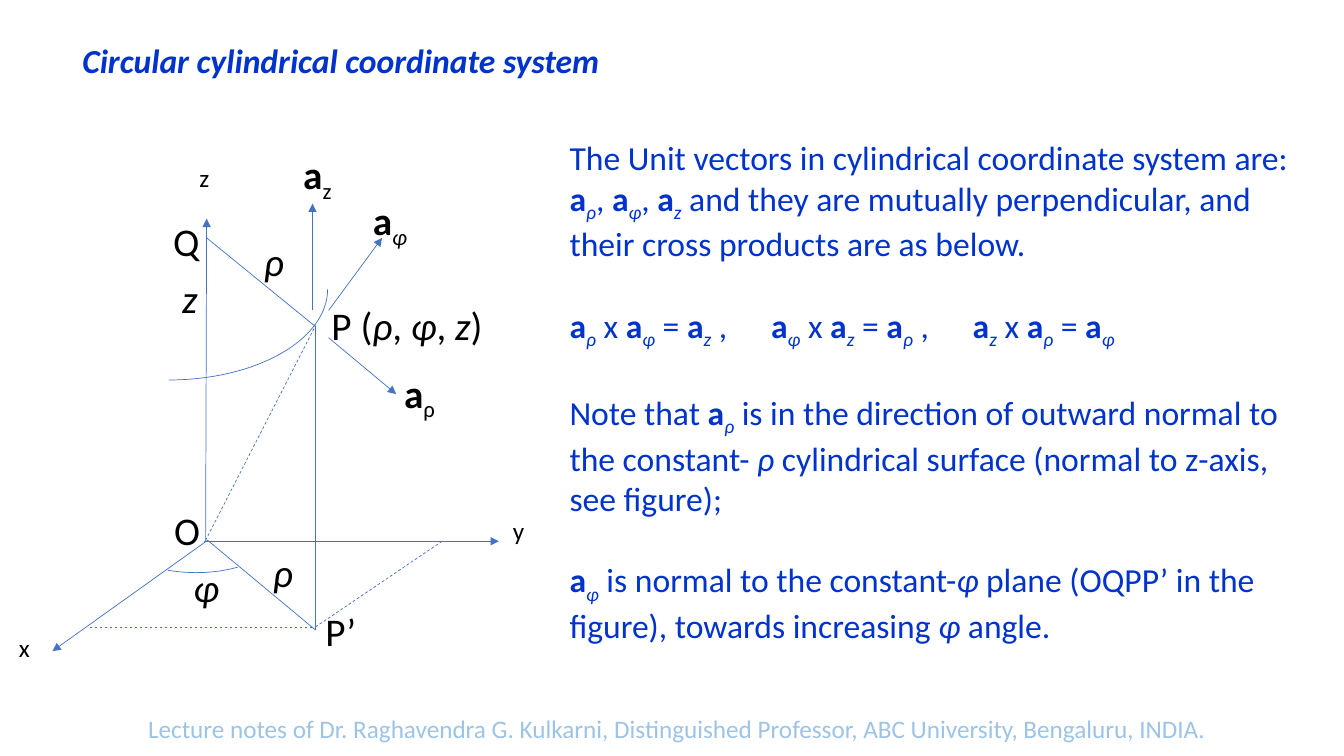
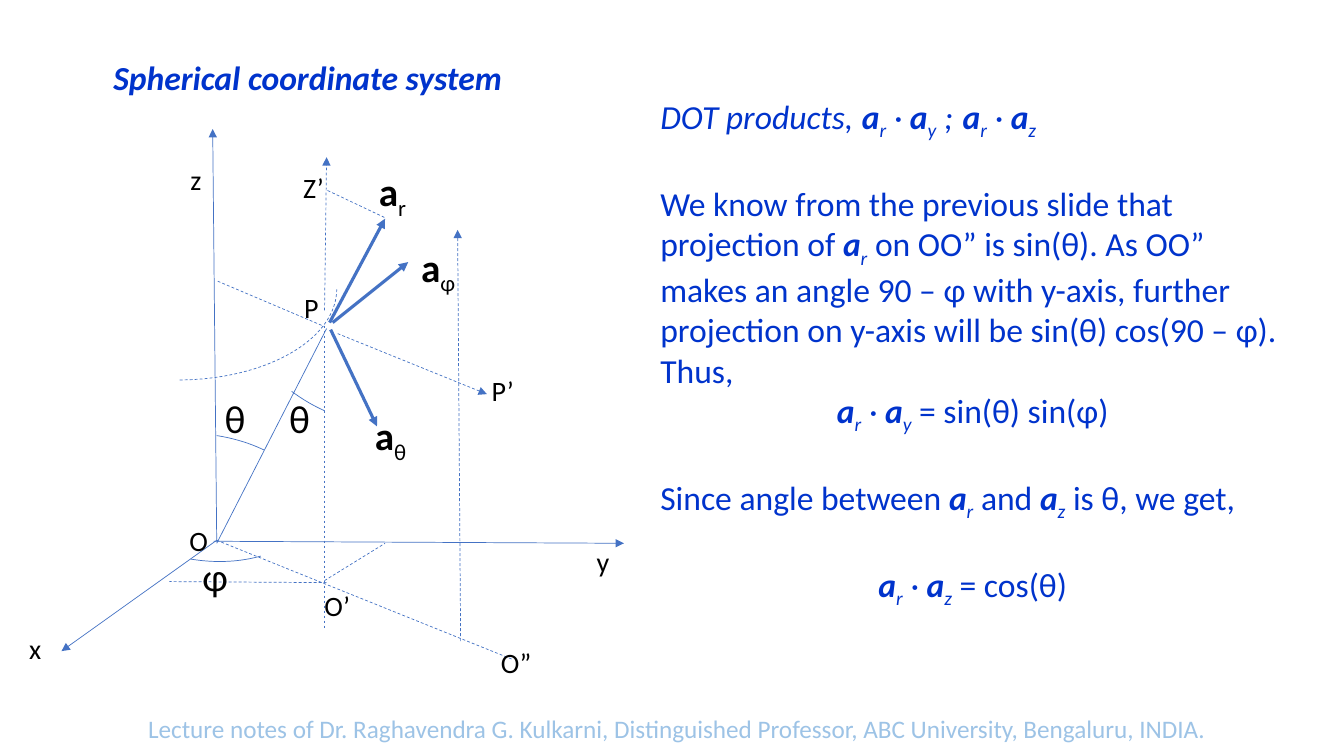
from lxml import etree
from pptx import Presentation
from pptx.dml.color import RGBColor
from pptx.enum.dml import MSO_LINE
from pptx.enum.shapes import MSO_CONNECTOR, MSO_SHAPE
from pptx.enum.text import MSO_AUTO_SIZE, PP_ALIGN
from pptx.oxml.ns import qn
from pptx.util import Inches, Pt

STRAIGHT, ARC = MSO_CONNECTOR.STRAIGHT, MSO_SHAPE.ARC
DASH = MSO_LINE.DASH
NO_FIT = MSO_AUTO_SIZE.NONE
LEFT, CENTER = PP_ALIGN.LEFT, PP_ALIGN.CENTER

BLUE = RGBColor(0x00, 0x33, 0xCC)
BLACK = RGBColor(0x00, 0x00, 0x00)
STROKE = RGBColor(0x44, 0x72, 0xC4)
PALE = RGBColor(0x9D, 0xC3, 0xE6)

FONT = "Calibri"
CELL = 0.1  # side of a grid cell in inches: 133.3 columns by 75 rows
THIN, THICK = 0.5, 2.25
GAP = 29.3  # one line of body text, in points
MARKS = "*/_"  # bold, italic, subscript
FOOTER = ("Lecture notes of Dr. Raghavendra G. Kulkarni, Distinguished Professor, "
          "ABC University, Bengaluru, INDIA.")


def cells(*counts):
    return [Inches(count * CELL) for count in counts]


class Lecture:
    """Holds the style and the current slide; all lengths are grid cells."""

    def __init__(self):
        self.deck = Presentation()
        self.deck.slide_width, self.deck.slide_height = cells(133.33, 75)
        self.slide = None

    def new_slide(self, title, title_box, paragraphs, body_box):
        self.slide = self.deck.slides.add_slide(self.deck.slide_layouts[1])
        heading = self.frame(self.slide.shapes.title, title_box).paragraphs[0]
        self.fill_text(heading, title, 24, BLUE, CENTER)
        heading.font.bold = heading.font.italic = True

        body = self.frame(self.slide.placeholders[1], body_box)
        for number, (text, options) in enumerate(paragraphs):
            paragraph = body.add_paragraph() if number else body.paragraphs[0]
            self.plain_list(paragraph, options.get("gap", 0), options.get("tabs", ()))
            self.fill_text(paragraph, text, 24, BLUE, options.get("align", LEFT))
        self.label(FOOTER, 13.7, 70.3, 18, PALE, 109.2)

    def frame(self, shape, box):
        shape.left, shape.top, shape.width, shape.height = cells(*box)
        shape.text_frame.word_wrap = True
        shape.text_frame.auto_size = NO_FIT
        return shape.text_frame

    def plain_list(self, paragraph, gap, tabs):
        paragraph.space_before = Pt(gap)
        properties = paragraph._p.get_or_add_pPr()
        properties.set("marL", "0")
        properties.set("indent", "0")
        etree.SubElement(properties, qn("a:buNone"))
        if tabs:
            stops = etree.SubElement(properties, qn("a:tabLst"))
            for position in cells(*tabs):
                etree.SubElement(stops, qn("a:tab"), pos=str(position), algn="l")

    def fill_text(self, paragraph, text, size, color, align=LEFT):
        """Split text at bars; each piece may start with marks."""
        paragraph.alignment = align
        font = paragraph.font
        font.name, font.size, font.color.rgb = FONT, Pt(size), color
        for piece in filter(None, text.split("|")):
            words = piece.lstrip(MARKS)
            marks = piece[:len(piece) - len(words)]
            run = paragraph.add_run()
            run.text = words
            if "*" in marks:
                run.font.bold = True
            if "/" in marks:
                run.font.italic = True
            if "_" in marks:
                run.font._element.set("baseline", "-25000")

    def label(self, text, left, top, size=28, color=BLACK, width=8):
        box = (left, top, width, size / 5)
        label = self.slide.shapes.add_textbox(*cells(*box))
        self.fill_text(self.frame(label, box).paragraphs[0], text, size, color)

    def labels(self, entries, size=28):
        for text, left, top in entries:
            self.label(text, left, top, size)

    def stroke(self, line, width, dashed):
        line.color.rgb = STROKE
        line.width = Pt(width)
        if dashed:
            line.dash_style = DASH

    def lines(self, ends, width=THIN, dashed=False, arrow=False):
        for points in ends:
            connector = self.slide.shapes.add_connector(STRAIGHT, *cells(*points))
            self.stroke(connector.line, width, dashed)
            properties = connector._element.spPr
            if arrow:
                etree.SubElement(properties.find(qn("a:ln")), qn("a:tailEnd"),
                                 type="triangle")
            etree.SubElement(properties, qn("a:effectLst"))

    def arc(self, box, start, end, turn=0, dashed=False):
        """Angles are degrees, clockwise from the right."""
        arc = self.slide.shapes.add_shape(ARC, *cells(*box))
        arc.shadow.inherit = False
        arc.fill.background()
        arc.adjustments[0], arc.adjustments[1] = start * 0.6, end * 0.6
        arc.rotation = turn
        self.stroke(arc.line, THIN, dashed)


def unit(name):
    return f"|*a|_/{name}|"


def slanted(name):
    return f"|*/a|_/{name}|"


def dot(name):
    return f"{slanted('r')}/ · {slanted(name)}"


def cylindrical(lecture):
    rho, phi, z = unit("ρ"), unit("φ"), unit("z")
    lecture.new_slide(
        "Circular cylindrical coordinate system ", (0.9, 3.5, 66.6, 5),
        [(f"The Unit vectors in cylindrical coordinate system are: {rho}, {phi}, {z} "
          "and they are mutually perpendicular, and their cross products are as below.", {}),
         (f"{rho} x {phi} = {z} ,\t{phi} x {z} = {rho} ,\t{z} x {rho} = {phi}",
          {"gap": GAP, "tabs": (19.2, 37.4)}),
         (f"Note that {rho} is in the direction of outward normal to the constant-|/ ρ |"
          "cylindrical surface (normal to z-axis, see figure);", {"gap": GAP}),
         (f"{phi} is normal to the constant-|/φ |plane (OQPP’ in the figure), "
          "towards increasing |/φ |angle.", {"gap": GAP})],
        (55.5, 13.1, 75.1, 49.5))

    # Axes y, z, x and the unit vectors z, ρ, φ at P
    lecture.lines([(20.2, 53.7, 49.5, 53.7), (20.4, 53.7, 20.5, 21.7),
                   (20.6, 53.6, 5.2, 64.6), (31, 30.8, 31, 20.2),
                   (32.6, 33.5, 39.3, 39.1), (32.6, 30.8, 37.9, 23.6)], arrow=True)
    # Plane OQPP’
    lecture.lines([(31.3, 32.3, 31.3, 62.5), (20.6, 53.6, 31.3, 62.5),
                   (20.5, 23.6, 31.3, 32.4)])
    # OP and the projections of P’
    lecture.lines([(20.4, 53.6, 31.3, 32.3), (31, 62.2, 8.9, 62.2),
                   (31.3, 62.2, 44, 53.6)], dashed=True)
    # Cylinder surface and angle φ
    lecture.arc((1, 19.7, 31.5, 18), 0, 90)
    lecture.arc((3.2, 36, 27.7, 20.4), 38.85, 74.04, turn=18.2)

    lecture.label("P (|/ρ|, |/φ|, |/z|)", 31.9, 29.4, width=20.9)
    lecture.labels([("*a|_ρ", 39.1, 36.1), ("*a|_z", 29.1, 14.4), ("*a|_/φ", 36, 19),
                    ("/φ", 18.2, 55.4), ("/ρ", 25.2, 23.1), ("/z", 17.1, 26.7),
                    ("/ρ", 26.1, 53.9), ("O", 16.3, 49.7), ("Q", 16.2, 21.1),
                    ("P’", 31.3, 59.8)])
    lecture.labels([("y", 49.9, 50.6), ("x", 0.9, 62.2), ("z", 18.8, 15.6)], size=18)


def spherical(lecture):
    r, z = slanted("r"), slanted("z")
    lecture.new_slide(
        "Spherical coordinate system ", (3.5, 5.1, 54.8, 5),
        [(f"/DOT products,\t{dot('y')}/ ;\t{dot('z')}", {"tabs": (20.6, 33.4)}),
         (f"We know from the previous slide that projection of {r} on OO” is sin(θ). "
          "As OO” makes an angle 90 – φ with y-axis, further projection on y-axis "
          "will be sin(θ) cos(90 – φ). Thus,", {"gap": GAP}),
         (f"{dot('y')} = sin(θ) sin(φ)", {"align": CENTER}),
         (f"Since angle between {r} and {z} is θ, we get,", {"gap": GAP}),
         (f"{dot('z')} = cos(θ)", {"gap": GAP, "align": CENTER})],
        (64.5, 9, 64, 49.5))

    # Axes y, z, x
    lecture.lines([(21.2, 53.7, 61.9, 53.9), (21.5, 53.7, 21.1, 12.8),
                   (21.5, 53.6, 6.1, 64.6)], arrow=True)
    # Radius OP
    lecture.lines([(21.5, 53.9, 32.4, 32.6)])
    # Directions through P and over OO”
    lecture.lines([(32.2, 30.8, 32.4, 15.6), (33.5, 33.1, 48.3, 39.1),
                   (45.7, 63.6, 45.4, 22.8)], dashed=True, arrow=True)
    # Projections
    lecture.lines([(32.2, 32.3, 32.2, 62.5), (21.5, 53.6, 50.8, 65.4),
                   (21.6, 27.9, 32.2, 32.4), (32.4, 57.8, 16.8, 57.7),
                   (32.2, 57.6, 38.2, 53.9), (32.5, 18.9, 38.2, 21.6)], dashed=True)
    # Unit vectors φ, r, θ
    lecture.lines([(33, 32, 40.5, 26), (32.7, 32, 38.2, 21.7),
                   (32.8, 32.7, 37.4, 42.3)], width=THICK, arrow=True)
    # Sphere surface, angle φ, angle θ at O and at P
    lecture.arc((1.9, 19.7, 31.5, 18), 0, 90, dashed=True)
    lecture.arc((5.5, 34.9, 27.7, 20.4), 38.85, 74.04, turn=18.2)
    lecture.arc((4.8, 43, 27.7, 20.4), 285.96, 311.38)
    lecture.arc((20.2, 19.6, 27.7, 20.4), 54, 74.04, turn=45.5)

    lecture.labels([("*a|_φ", 40.8, 23.6), ("*a|_r", 36.6, 16.1), ("*a|_θ", 36.2, 40.3),
                    ("φ", 19.1, 54.3), ("θ", 21.3, 38.6), ("θ", 27.7, 38.6)])
    lecture.labels([("P", 29.2, 28.3), ("y", 58.2, 53.5), ("x", 1.9, 62.2),
                    ("z", 17.9, 15.6), ("O", 17.8, 51.4), ("Z’", 29.1, 16.4),
                    ("P’", 47.8, 36.6), ("O’", 31.2, 57.9), ("O”", 48.7, 63.5)], size=20)


def main():
    lecture = Lecture()
    cylindrical(lecture)
    spherical(lecture)
    lecture.deck.save("out.pptx")


if __name__ == "__main__":
    main()
